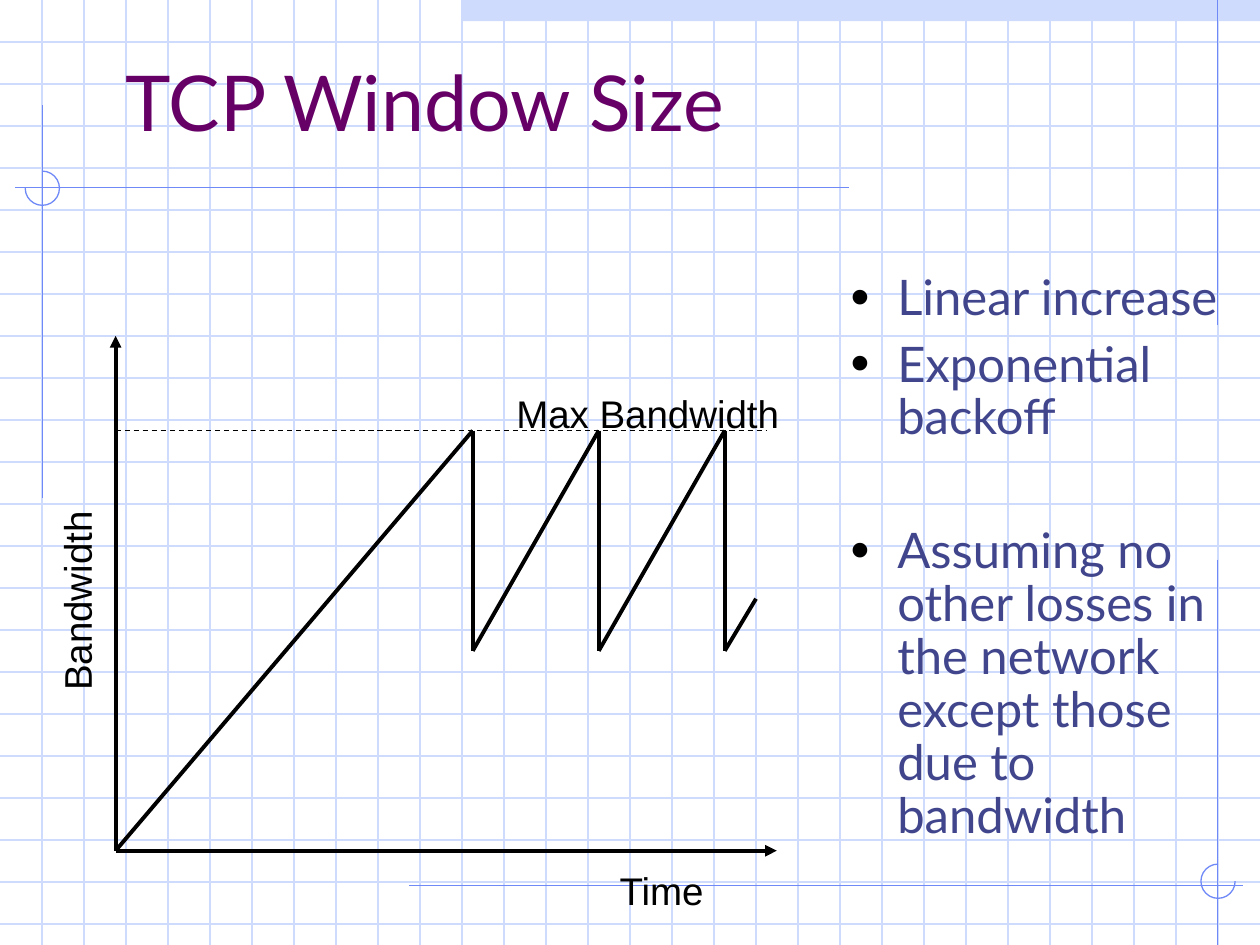
import pptx
import pptx.dml.color
import pptx.enum.dml
import pptx.enum.shapes
import pptx.enum.text
import pptx.oxml.ns
import pptx.util
from lxml import etree

Cm, Pt = pptx.util.Cm, pptx.util.Pt
RGB = pptx.dml.color.RGBColor.from_string
qn = pptx.oxml.ns.qn
SHAPES = pptx.enum.shapes.MSO_SHAPE
COLORS = {"grid": "CFDBFD", "frame": "6F89F7", "title": "660066",
          "body": "40458C", "ink": "000000"}

deck = pptx.Presentation()
deck.slide_width, deck.slide_height = Cm(25.4), Cm(19.05)
page = deck.slides.add_slide(deck.slide_layouts[6])


def add_line(start, end, color, width=0.75, arrow=False, dashed=False):
    """Draw a line between two points in centimetres."""
    line = page.shapes.add_connector(
        pptx.enum.shapes.MSO_CONNECTOR.STRAIGHT,
        Cm(start[0]), Cm(start[1]), Cm(end[0]), Cm(end[1]))
    line.line.color.rgb = RGB(COLORS[color])
    line.line.width = Pt(width)
    if dashed:
        line.line.dash_style = pptx.enum.dml.MSO_LINE.DASH
    properties = line._element.spPr
    if arrow:
        etree.SubElement(properties.find(qn("a:ln")), qn("a:tailEnd"), type="triangle")
    etree.SubElement(properties, qn("a:effectLst"))


def add_text(frame, lines, font, size, color, spacing):
    """Fill a text frame with one paragraph per line and format it."""
    frame.text = "\n".join(lines)
    for para in frame.paragraphs:
        para.line_spacing = spacing
        for span in para.runs:
            span.font.name, span.font.size = font, Pt(size)
            span.font.color.rgb = RGB(COLORS[color])


# Top band
band = page.shapes.add_shape(SHAPES.RECTANGLE, Cm(9.3), Cm(0), Cm(16.1), Cm(0.43))
band.shadow.inherit = False
band.fill.solid()
band.fill.fore_color.rgb = RGB(COLORS["grid"])
band.line.fill.background()

# Squared paper, three squares to the inch
square = 2.54 / 3
for row in range(1, 23):
    add_line((0, row * square), (25.4, row * square), "grid")
for column in range(1, 30):
    add_line((column * square, 0), (column * square, 19.05), "grid")

# Frame lines and the open circles where they cross
for start, end in [((24.55, 0), (24.55, 6.55)), ((0.86, 2.12), (0.86, 10.03)),
                   ((0.3, 3.78), (17.12, 3.78)), ((8.25, 17.85), (25.05, 17.85)),
                   ((24.54, 11.28), (24.54, 19.28))]:
    add_line(start, end, "frame")
# Arc angles are in units of 100000/60000 degree: 108 is 180°, 162 is 270°
for left, top, begin, finish in [(0.51, 3.45, 162, 108), (24.21, 17.42, 0, 162)]:
    arc = page.shapes.add_shape(SHAPES.ARC, Cm(left), Cm(top), Cm(0.69), Cm(0.69))
    arc.adjustments[0], arc.adjustments[1] = begin, finish
    arc.shadow.inherit = False
    arc.fill.background()
    arc.line.color.rgb = RGB(COLORS["frame"])
    arc.line.width = Pt(0.75)

# Title and bullet text
frames = []
for place in [(2.54, 0, 21.59, 4), (17.15, 5.5, 7.62, 11.43)]:
    box = page.shapes.add_textbox(*[Cm(length) for length in place])
    frame = box.text_frame
    frame.word_wrap = True
    frame.margin_left = frame.margin_right = frame.margin_top = frame.margin_bottom = 0
    frames.append(frame)
title, body = frames
title.vertical_anchor = pptx.enum.text.MSO_ANCHOR.MIDDLE
add_text(title, ["TCP Window Size"], "Lato", 44, "title", 1.04)
add_text(body, ["Linear increase", "Exponential backoff",
                "Assuming no other losses in the network except those due to bandwidth"],
         "Lato", 28, "body", 0.9)
for para, gap in zip(body.paragraphs, (8, 8, 46.3)):
    para.space_before = Pt(gap)
    properties = para._p.get_or_add_pPr()
    properties.set("marL", str(Cm(0.94)))
    properties.set("indent", str(-Cm(0.94)))
    bullet_color = etree.SubElement(properties, qn("a:buClr"))
    etree.SubElement(bullet_color, qn("a:srgbClr"), val=COLORS["ink"])
    etree.SubElement(properties, qn("a:buSzPct"), val="110000")
    etree.SubElement(properties, qn("a:buFont"), typeface="Arial")
    etree.SubElement(properties, qn("a:buChar"), char="•")

# Axes and the bandwidth limit
origin, peak, trough = (2.33, 17.15), 8.68, 13.12
add_line(origin, (2.33, 6.77), "ink", 2.25, arrow=True)
add_line(origin, (15.66, 17.15), "ink", 2.25, arrow=True)
add_line((2.33, peak), (15.45, peak), "ink", dashed=True)

# Sawtooth of the window size
points = [origin]
for drop in range(3):
    x = 9.53 + drop * 2.54
    points += [(x, peak), (x, trough)]
points.append((15.24, 12.07))
for start, end in zip(points, points[1:]):
    add_line(start, end, "ink", 2.25)

# Chart labels
for label, left, top, width, turn in [("Time", 12.24, 17.04, 2.29, 0),
                                      ("Bandwidth", -0.84, 11.43, 4.22, 270),
                                      ("Max Bandwidth", 10.16, 7.42, 6, 0)]:
    box = page.shapes.add_textbox(Cm(left), Cm(top), Cm(width), Cm(1.27))
    box.rotation = turn
    box.text_frame.word_wrap = False
    box.text_frame.auto_size = pptx.enum.text.MSO_AUTO_SIZE.SHAPE_TO_FIT_TEXT
    add_text(box.text_frame, [label], "Arial", 22, "ink", 1.34)

deck.save("out.pptx")
